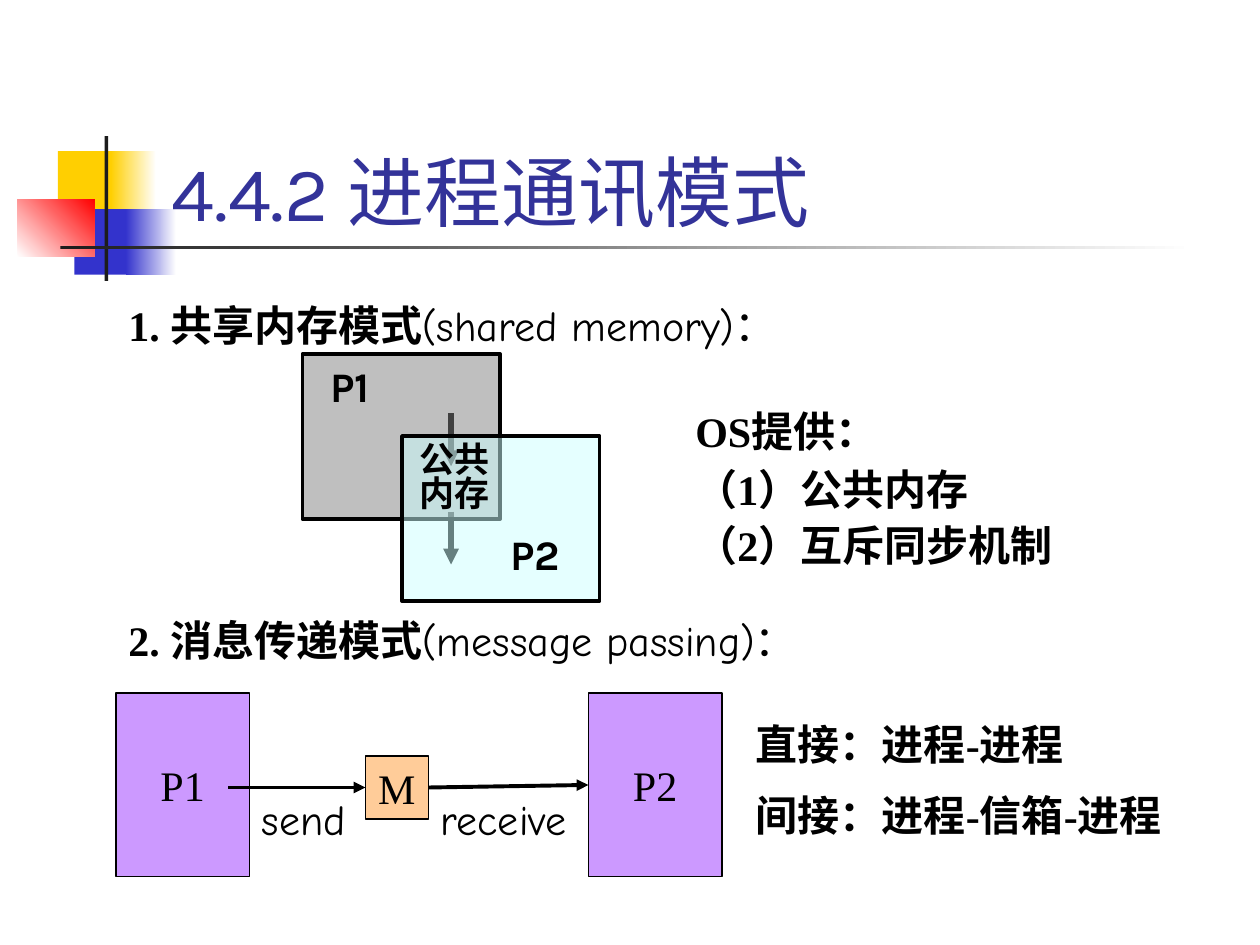
from lxml.etree import SubElement
from pptx import Presentation
from pptx.dml.color import RGBColor
from pptx.enum.shapes import MSO_CONNECTOR, MSO_SHAPE
from pptx.enum.text import MSO_ANCHOR, MSO_AUTO_SIZE, PP_ALIGN
from pptx.oxml.ns import qn
from pptx.util import Inches, Pt

SERIF, HAND, SANS = "Times New Roman", "Comic Neue", "Karla"
BLACK, WHITE = "000000", "FFFFFF"


def color(hex_string):
    return RGBColor.from_string(hex_string)


def format_font(font, name, size, bold=False, hex_string=BLACK):
    font.name, font.size, font.bold = name, Pt(size), bold
    font.color.rgb = color(hex_string)


def add_box(slide, box, fill, line_width=None, alpha=None):
    """Add a rectangle; fill is one colour, or (start, end, angle) for a gradient."""
    shape = slide.shapes.add_shape(MSO_SHAPE.RECTANGLE, *map(Inches, box))
    shape.shadow.inherit = False
    if isinstance(fill, tuple):
        start, end, angle = fill
        shape.fill.gradient()
        shape.fill.gradient_angle = angle
        for stop, hex_string in zip(shape.fill.gradient_stops, (start, end)):
            stop.color.rgb = color(hex_string)
    else:
        shape.fill.solid()
        shape.fill.fore_color.rgb = color(fill)
    if alpha is not None:
        fill_color = shape._element.spPr.find(qn("a:solidFill"))[0]
        SubElement(fill_color, qn("a:alpha"), val=str(alpha * 1000))
    if line_width is None:
        shape.line.fill.background()
    else:
        shape.line.color.rgb = color(BLACK)
        shape.line.width = Pt(line_width)
    return shape


def add_process(slide, box, label, fill):
    shape = add_box(slide, box, fill, 0.75)
    frame = shape.text_frame
    frame.text = label
    frame.word_wrap = False
    frame.vertical_anchor = MSO_ANCHOR.MIDDLE
    frame.paragraphs[0].alignment = PP_ALIGN.CENTER
    format_font(frame.paragraphs[0].runs[0].font, SERIF, 24)
    return shape


def add_arrow(slide, start, end, width):
    arrow = slide.shapes.add_connector(
        MSO_CONNECTOR.STRAIGHT, *map(Inches, start + end))
    arrow.line.color.rgb = color(BLACK)
    arrow.line.width = Pt(width)
    SubElement(arrow.line._get_or_add_ln(), qn("a:tailEnd"), type="triangle")
    SubElement(arrow._element.spPr, qn("a:effectLst"))
    return arrow


def add_text(slide, box, lines, font_name=SERIF, size=24, bold=False):
    text_box = slide.shapes.add_textbox(*map(Inches, box))
    frame = text_box.text_frame
    frame.word_wrap = True
    frame.text = "\n".join(lines)
    for index, paragraph in enumerate(frame.paragraphs):
        if index:
            paragraph.space_before = Pt(12)
        format_font(paragraph.runs[0].font, font_name, size, bold)
    return frame


def add_tight_label(slide, box, text, size=24):
    frame = add_text(slide, box, [text], SANS, size, True)
    frame.margin_left = frame.margin_right = 0
    frame.margin_top = frame.margin_bottom = 0
    frame.paragraphs[0].line_spacing = 0.8


def add_heading(slide, box, text, english):
    frame = add_text(slide, box, [text], bold=True)
    run = frame.paragraphs[0].add_run()
    run.text = english
    format_font(run.font, HAND, 24)


def add_title_ornament(slide, left, top):
    parts = [
        (0.32, 0.12, 0.48, 0.52, "FFCF01"),
        (0.74, 0.12, 0.36, 0.52, ("FFCF01", WHITE, 0)),
        (0.45, 0.58, 0.46, 0.52, "3333CC"),
        (0.86, 0.58, 0.40, 0.52, ("3333CC", WHITE, 0)),
        (0, 0.5, 0.61, 0.46, (WHITE, "FF0000", 45)),
        (0.69, 0, 0.03, 1.15, "1C1C1C"),
        (0.34, 0.87, 9, 0.03, ("1C1C1C", WHITE, 0)),
    ]
    for x, y, width, height, fill in parts:
        add_box(slide, (left + x, top + y, width, height), fill)


def add_title(slide, box, text):
    title = slide.shapes.title
    title.left, title.top, title.width, title.height = map(Inches, box)
    frame = title.text_frame
    frame.text = text
    frame.auto_size = MSO_AUTO_SIZE.NONE
    frame.vertical_anchor = MSO_ANCHOR.BOTTOM
    frame.paragraphs[0].alignment = PP_ALIGN.LEFT
    format_font(frame.paragraphs[0].runs[0].font, SANS, 44, hex_string="333399")
    # Keep the title in front of the ornament
    slide.shapes._spTree.append(title._element)


def add_shared_memory(slide, left, top):
    """Two overlapping processes whose intersection is the shared memory."""
    width, height = 1.57, 1.31
    dx, dy = 0.79, 0.65
    arrow_x = left + 1.18
    for y in (0.47, 1.25):
        add_arrow(slide, (arrow_x, top + y), (arrow_x, top + y + 0.42), 3)
    add_box(slide, (left, top, width, height), "808080", 2, 50)
    add_box(slide, (left + dx, top + dy, width, height), "CCFFFF", 2, 50)
    add_tight_label(slide, (left + 0.22, top + 0.13, 0.5, 0.32), "P1")
    add_tight_label(slide, (left + 1.65, top + 1.46, 0.5, 0.32), "P2")
    add_tight_label(slide, (left + 0.93, top + 0.73, 0.57, 0.54), "公共内存", 20)


def add_message_passing(slide, left, top):
    """Sender, message and receiver in a row, joined by arrows."""
    width, height = 1.06, 1.46
    axis = top + 0.75
    add_process(slide, (left, top, width, height), "P1", "CC99FF")
    receiver = add_process(slide, (left + 3.75, top, width, height), "P2", "CC99FF")
    message = add_process(slide, (left + 1.98, top + 0.5, 0.5, 0.5), "M", "FFCC99")
    send = add_arrow(slide, (left + 0.89, axis), (left + 1.98, axis), 2.25)
    send.end_connect(message, 1)
    receive = add_arrow(slide, (left + 2.48, axis), (left + 3.75, axis), 2.25)
    receive.begin_connect(message, 3)
    receive.end_connect(receiver, 1)
    add_text(slide, (left + 1.06, axis, 0.92, 0.5), ["send"], HAND)
    add_text(slide, (left + 2.48, axis, 1.42, 0.5), ["receive"], HAND)


def main():
    presentation = Presentation()
    presentation.slide_width, presentation.slide_height = Inches(10), Inches(7.5)
    slide = presentation.slides.add_slide(presentation.slide_layouts[5])

    add_title_ornament(slide, 0.14, 1.08)
    add_title(slide, (1.26, 0.68, 8.52, 1.25), "4.4.2 进程通讯模式")

    add_heading(slide, (0.92, 2.33, 8.25, 0.5), "1. 共享内存模式", "(shared memory)：")
    add_shared_memory(slide, 2.4, 2.81)
    services = add_text(slide, (5.42, 3.17, 3.5, 1.46),
                        ["OS提供：", "（1）公共内存", "（2）互斥同步机制"], bold=True)
    for paragraph in services.paragraphs[1:]:
        paragraph.line_spacing = 0.7

    add_heading(slide, (0.92, 4.83, 8.08, 0.5), "2. 消息传递模式", "(message passing)：")
    add_message_passing(slide, 0.92, 5.5)
    add_text(slide, (5.9, 5.65, 3.58, 1.1),
             ["直接：进程-进程", "间接：进程-信箱-进程"], bold=True)

    presentation.save("out.pptx")


if __name__ == "__main__":
    main()
